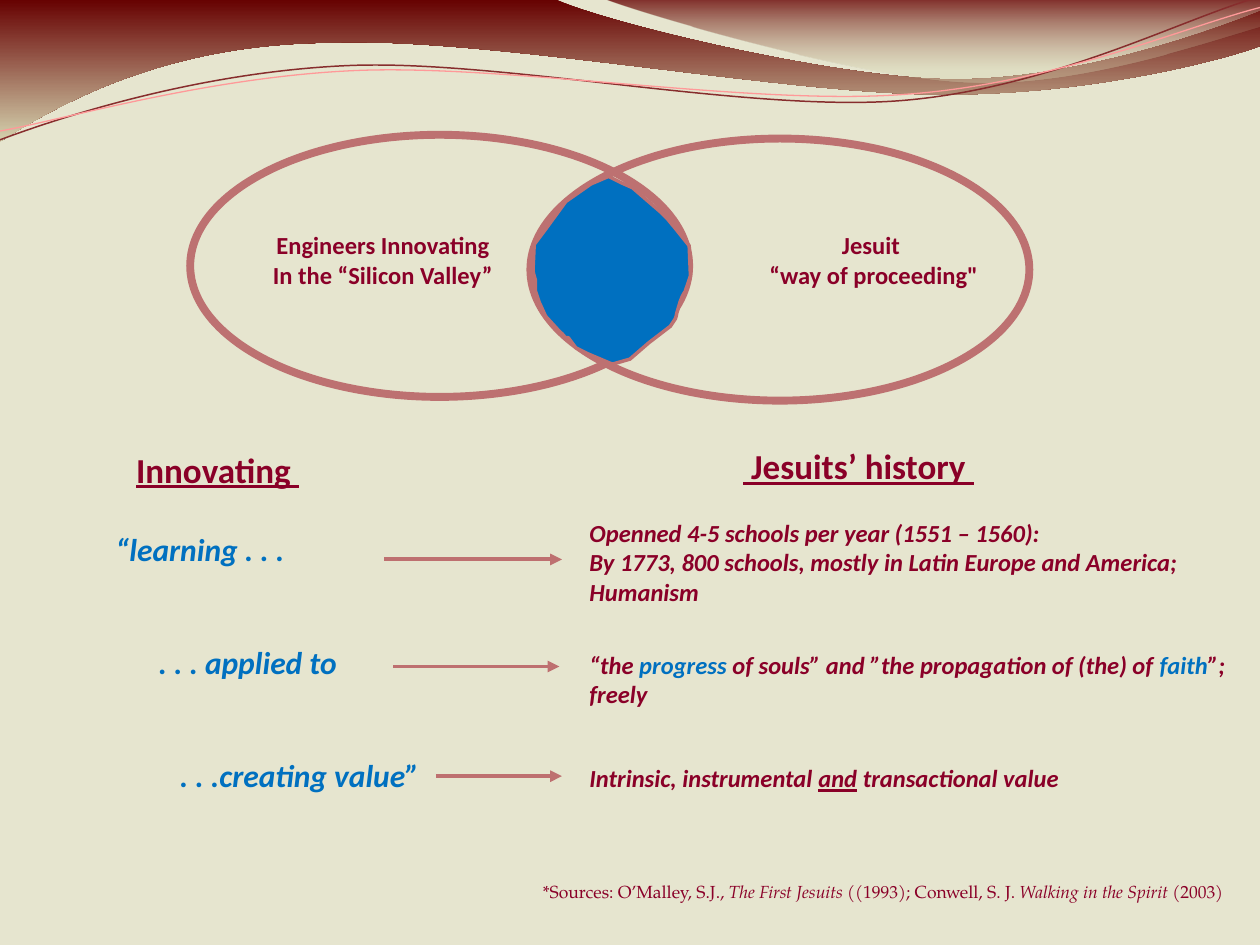
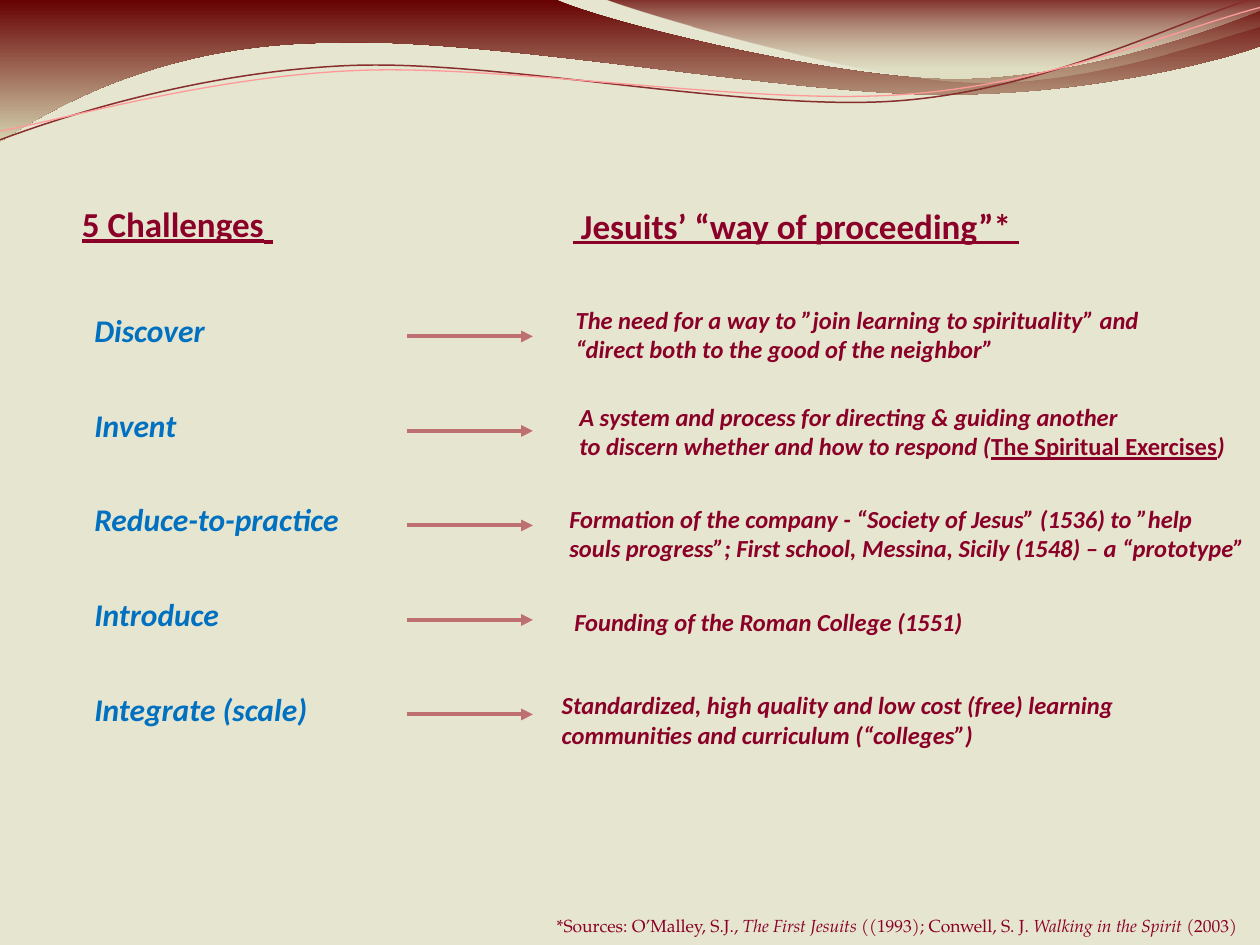
import dataclasses
import math

import lxml.etree
import pptx
import pptx.dml.color
import pptx.enum.dml
import pptx.enum.shapes
import pptx.enum.text
import pptx.oxml.ns
import pptx.util


@dataclasses.dataclass(frozen=True)
class Theme:
    """Colours, fonts and type sizes shared by both slides."""
    paper: str = "E6E5CF"
    wine: str = "8A0028"
    blue: str = "0070C0"
    rose: str = "BD7171"
    arrow: str = "BE7070"
    body_font: str = "Calibri"
    source_font: str = "TeX Gyre Pagella"
    heading: int = 20
    term: int = 18
    body: int = 14
    source: int = 10


THEME = Theme()
WIDTH, HEIGHT = 10, 7.5

# Text styles; a span may override single entries.
HEADING = dict(size=THEME.heading, color=THEME.wine, bold=True, underline=True)
TERM = dict(size=THEME.term, color=THEME.blue, bold=True, italic=True)
ANSWER = dict(size=THEME.body, color=THEME.wine, bold=True, italic=True)
LABEL = dict(size=THEME.body, color=THEME.wine, bold=True)
SOURCE = dict(size=THEME.source, color=THEME.wine, font=THEME.source_font)
BLUE = dict(color=THEME.blue)
ITALIC = dict(italic=True)

# Outlines: a start point, then points (2 numbers) or Bezier arcs (6 numbers).
BROAD_WAVE = [
    (0, 0), (4.4, -0.01), (4.76, 0.17, 6.64, 0.63, 7.58, 0.63),
    (8.53, 0.63, 9.58, 0.26, 10, 0.09), (10.01, 0.36),
    (9.83, 0.44, 8.7, 0.76, 7.46, 0.75), (6.22, 0.75, 3.82, 0.28, 2.57, 0.34),
    (1.29, 0.36, 0.46, 0.83, -0.01, 1.13), (0, 0)]
RIGHT_WAVE = [
    (4.79, -0.01), (5.09, 0.11, 6.82, 0.62, 7.69, 0.65),
    (8.56, 0.69, 9.61, 0.32, 10, 0.21), (10, 0), (4.79, -0.01)]
# Each wave: outline, then (position, colour, opacity) per gradient stop.
WAVES = [
    (BROAD_WAVE, [(0, "660000", 1), (1, "D5D3AF", 1)]),
    (RIGHT_WAVE, [(0, "660000", 0.8), (0.8, "D5D3AF", 0.35)])]
# Each strand: outline, centre of its turn, colour, width.
STRAND_TURN = 357.3
STRANDS = [
    ([(0, 1.11), (0.48, 0.93, 1.58, 0.57, 2.77, 0.52),
      (3.95, 0.47, 5.93, 0.89, 7.13, 0.8), (8.33, 0.71, 9.38, 0.15, 9.98, -0.02)],
     (4.99, 0.57), "872D2D", 0.85),
    ([(0, 1.04), (0.47, 0.96, 1.64, 0.61, 2.83, 0.56),
      (4.03, 0.51, 5.97, 0.84, 7.17, 0.75), (8.36, 0.67, 9.41, 0.21, 10, 0.06)],
     (5, 0.59), "FF9999", 0.75)]

# Venn diagram
OVAL_SIZE = (3.96, 2.08)
OVALS = [(1.51, 1.07), (4.21, 1.1)]
OVERLAP = [
    (4.83, 1.4), (4.69, 1.46), (4.49, 1.6), (4.33, 1.82), (4.24, 1.94), (4.23, 2.15),
    (4.25, 2.24, 4.25, 2.2, 4.25, 2.25), (4.25, 2.31), (4.28, 2.4), (4.33, 2.51),
    (4.44, 2.63), (4.5, 2.68, 4.47, 2.68, 4.51, 2.68), (4.57, 2.76), (4.67, 2.81),
    (4.86, 2.89), (5, 2.85), (5.15, 2.72), (5.32, 2.59),
    (5.33, 2.57, 5.35, 2.55, 5.36, 2.53), (5.37, 2.51, 5.37, 2.49, 5.37, 2.49),
    (5.4, 2.39), (5.41, 2.36, 5.42, 2.34, 5.44, 2.31),
    (5.44, 2.3, 5.45, 2.28, 5.45, 2.28), (5.48, 2.19), (5.47, 1.95), (5.35, 1.8),
    (5.29, 1.73, 5.32, 1.76, 5.28, 1.72), (5.24, 1.68), (5.02, 1.49), (4.93, 1.45),
    (4.83, 1.4)]
VENN_LABELS = [
    ((2.06, 1.78, 1.96, 0.57),
     [["Engineers Innovating"], ["In the “Silicon Valley”"]]),
    ((6, 1.78, 1.87, 0.57), [["Jesuit "], ["“way of proceeding\""]])]

SOURCES = [["*Sources: O’Malley, S.J., ", ("The First Jesuits", ITALIC),
            " ((1993); Conwell, S. J. ", ("Walking in the Spirit ", ITALIC), "(2003)"]]

# Each slide: headings, terms, answers (box, paragraphs), arrows (left, right, y).
HISTORY = dict(
    left_heading=((1.08, 3.41), [["Innovating "]]),
    right_heading=((5.8, 3.48, 2.05, 0.44), [[" Jesuits’ history "]]),
    terms=((0.82, 4.16, 2.64, 2.22),
           [["“learning . . ."], [". . . applied to "], [". . .creating value”"]]),
    term_gap=43, indents=(0, 0.34, 0.51),
    answers=[
        ((4.58, 4.06, 5.25, 0.81),
         [["Openned 4-5 schools per year (1551 – 1560): "],
          ["By 1773, 800 schools, mostly in Latin Europe and America; Humanism"]]),
        ((4.58, 5.11, 5.43, 0.57),
         [["“the ", ("progress ", BLUE), "of souls” and ”the propagation of (the) of ",
           ("faith", BLUE), "”; freely"]]),
        ((4.58, 6.01, 5.43, 0.34),
         [["Intrinsic, instrumental ", ("and", dict(underline=True)),
           " transactional value"]])],
    arrows=[(3.05, 4.46, 4.44), (3.12, 4.44, 5.29), (3.46, 4.46, 6.16)],
    sources=(4.21, 6.94))
CHALLENGES = dict(
    left_heading=((0.65, 1.47), [["5 Challenges", (" ", dict(size=24))]]),
    right_heading=((4.45, 1.57, 3.77, 0.44), [[" Jesuits’ “way of proceeding”* "]]),
    terms=((0.65, 2.42, 2.16, 3.43),
           [["Discover"], ["Invent"], ["Reduce-to-practice"], ["Introduce"],
            ["Integrate (scale)"]]),
    term_gap=32.5, indents=(0,) * 5,
    answers=[
        ((4.5, 3.14, 5.43, 0.57),
         [["A system and process for directing & guiding another "],
          ["to discern whether and how to respond (",
           ("The Spiritual Exercises", dict(italic=False, underline=True)), ")"]]),
        ((4.36, 5.43, 5.62, 0.57),
         [["Standardized, high quality and low cost (free) learning communities "
           "and curriculum (“colleges”)"]]),
        ((4.47, 2.37, 4.82, 0.57),
         [["The need for a way to ”join learning to spirituality” and "],
          ["“direct both to the good of the neighbor” "]]),
        ((4.42, 3.95, 5.6, 0.57),
         [["Formation of the company - “Society of Jesus” (1536) to ”help"],
          ["souls progress”; First school, Messina, Sicily (1548) – a “prototype”"]]),
        ((4.46, 4.77, 5.25, 0.34), [["Founding of the Roman College (1551)"]])],
    arrows=[(3.23, 4.23, 2.67 + 0.75 * row) for row in range(5)],
    sources=(4.32, 7.21))


def inches(*values):
    """Turn plain numbers into slide lengths."""
    return [pptx.util.Inches(value) for value in values]


def rgb(code):
    """Turn a hex code into a colour."""
    return pptx.dml.color.RGBColor.from_string(code)


def set_line(shape, color, width):
    """Give a shape or connector a solid line."""
    shape.line.color.rgb = rgb(color)
    shape.line.width = pptx.util.Pt(width)


def pairs(part):
    """Split a flat run of numbers into points."""
    return list(zip(part[::2], part[1::2]))


def turn(outline, centre, degrees):
    """Rotate an outline clockwise around a centre."""
    cos, sin = math.cos(math.radians(degrees)), math.sin(math.radians(degrees))
    turned = []
    for part in outline:
        offsets = [(x - centre[0], y - centre[1]) for x, y in pairs(part)]
        turned.append(tuple(value for x, y in offsets for value in (
            centre[0] + x * cos - y * sin, centre[1] + x * sin + y * cos)))
    return turned


def add_outline(shapes, outline, close=True):
    """Draw a freeform of lines and Bezier arcs, without fill, line or shadow."""
    points = [inches(*point) for part in outline for point in pairs(part)]
    builder = shapes.build_freeform(*points[0], scale=1.0)
    builder.add_line_segments(points[1:], close=close)
    shape = builder.convert_to_shape()
    track = next(shape.element.iter(pptx.oxml.ns.qn("a:path")))
    steps = iter(track.findall(pptx.oxml.ns.qn("a:lnTo")))
    for part in outline[1:]:
        step = next(steps)
        if len(part) == 6:
            step.tag = pptx.oxml.ns.qn("a:cubicBezTo")
            for extra in (next(steps), next(steps)):
                step.append(extra[0])
                track.remove(extra)
    shape.shadow.inherit = False
    shape.fill.background()
    shape.line.fill.background()
    return shape


def add_header(page):
    """Draw the gradient waves and the grouped strands along the top."""
    for outline, stops in WAVES:
        wave = add_outline(page.shapes, outline)
        wave.fill.gradient()
        wave.fill.gradient_angle = 270
        for stop, (position, color, opacity) in zip(wave.fill.gradient_stops, stops):
            stop.position = position
            stop.color.rgb = rgb(color)
        tags = wave.element.iter(pptx.oxml.ns.qn("a:srgbClr"))
        for tag, (position, color, opacity) in zip(tags, stops):
            if opacity < 1:
                alpha = lxml.etree.SubElement(tag, pptx.oxml.ns.qn("a:alpha"))
                alpha.set("val", str(round(opacity * 100000)))
    group = page.shapes.add_group_shape()
    for outline, centre, color, width in STRANDS:
        level = turn(outline, centre, -STRAND_TURN)
        strand = add_outline(group.shapes, level, close=False)
        strand.rotation = STRAND_TURN
        set_line(strand, color, width)


def add_text(page, place, paragraphs, style, wrap=True, align="LEFT", gap=0, indents=()):
    """Add a text box whose paragraphs are lists of spans."""
    box = page.shapes.add_textbox(*inches(*place))
    frame = box.text_frame
    frame.word_wrap = wrap
    frame.auto_size = pptx.enum.text.MSO_AUTO_SIZE.SHAPE_TO_FIT_TEXT
    for index, spans in enumerate(paragraphs):
        para = frame.add_paragraph() if index else frame.paragraphs[0]
        para.alignment = getattr(pptx.enum.text.PP_ALIGN, align)
        if index and gap:
            para.space_before = pptx.util.Pt(gap)
        if indents and indents[index]:
            properties = para._p.get_or_add_pPr()
            properties.set("marL", str(inches(indents[index])[0]))
            properties.set("indent", "0")
        for item in spans:
            words, change = (item, {}) if isinstance(item, str) else item
            look = {**style, **change}
            span = para.add_run()
            span.text = words
            span.font.name = look.get("font", THEME.body_font)
            span.font.size = pptx.util.Pt(look["size"])
            span.font.color.rgb = rgb(look["color"])
            for trait in ("bold", "italic", "underline"):
                setattr(span.font, trait, look.get(trait, False))
    return box


def add_left_heading(page, corner, paragraphs):
    """Add the wide heading that stands on the bottom of its box."""
    frame = add_text(page, (*corner, 8.92, 0.48), paragraphs, HEADING).text_frame
    frame.auto_size = pptx.enum.text.MSO_AUTO_SIZE.NONE
    frame.vertical_anchor = pptx.enum.text.MSO_ANCHOR.BOTTOM
    frame.margin_left = frame.margin_right = frame.margin_bottom = 0


def add_arrow(page, left, right, y):
    """Draw a level arrow pointing right."""
    arrow = page.shapes.add_connector(
        pptx.enum.shapes.MSO_CONNECTOR.STRAIGHT, *inches(left, y, right, y))
    set_line(arrow, THEME.arrow, 2.25)
    properties = arrow.element.spPr
    line = properties.find(pptx.oxml.ns.qn("a:ln"))
    lxml.etree.SubElement(line, pptx.oxml.ns.qn("a:tailEnd")).set("type", "triangle")
    lxml.etree.SubElement(properties, pptx.oxml.ns.qn("a:effectLst"))


def add_venn(page):
    """Draw two ovals, their labels and the blue overlap."""
    for corner in OVALS:
        oval = page.shapes.add_shape(
            pptx.enum.shapes.MSO_SHAPE.OVAL, *inches(*corner, *OVAL_SIZE))
        oval.shadow.inherit = False
        oval.fill.background()
        set_line(oval, THEME.rose, 4.5)
    for place, paragraphs in VENN_LABELS:
        add_text(page, place, paragraphs, LABEL, wrap=False, align="CENTER")
    overlap = add_outline(page.shapes, OVERLAP)
    overlap.fill.solid()
    overlap.fill.fore_color.rgb = rgb(THEME.blue)
    set_line(overlap, THEME.rose, 2)


def add_page(deck, content):
    """Build one slide: header, headings, terms, arrows, answers and sources."""
    page = deck.slides.add_slide(deck.slide_layouts[6])
    page.background.fill.solid()
    page.background.fill.fore_color.rgb = rgb(THEME.paper)
    add_header(page)
    add_left_heading(page, *content["left_heading"])
    add_text(page, *content["terms"], TERM, wrap=False,
             gap=content["term_gap"], indents=content["indents"])
    add_text(page, *content["right_heading"], HEADING, wrap=False)
    for place, paragraphs in content["answers"]:
        add_text(page, place, paragraphs, ANSWER)
    for arrow in content["arrows"]:
        add_arrow(page, *arrow)
    add_text(page, (*content["sources"], 5.61, 0.27), SOURCES, SOURCE, wrap=False)
    return page


deck = pptx.Presentation()
deck.slide_width, deck.slide_height = inches(WIDTH, HEIGHT)
add_venn(add_page(deck, HISTORY))
add_page(deck, CHALLENGES)
deck.save("out.pptx")
